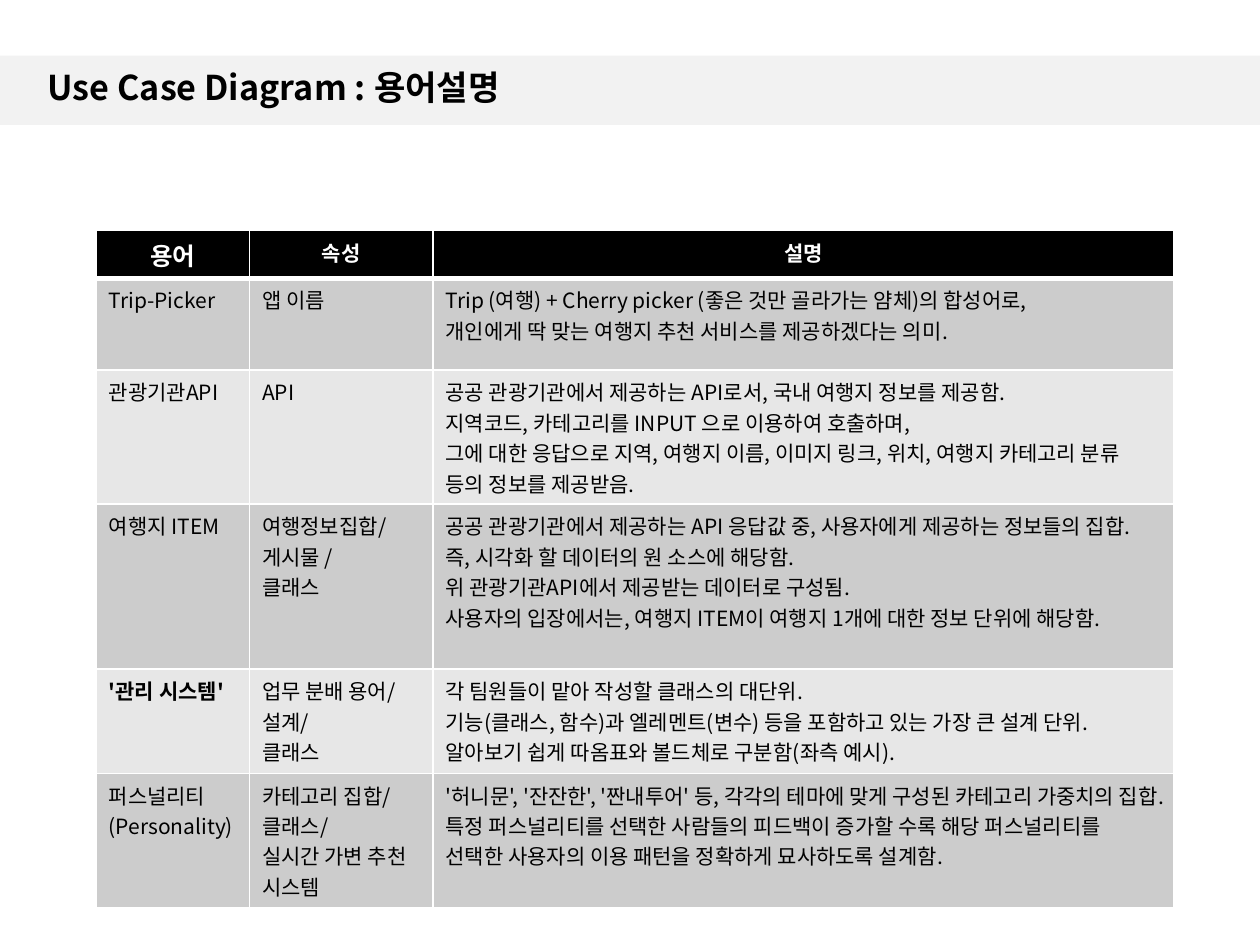
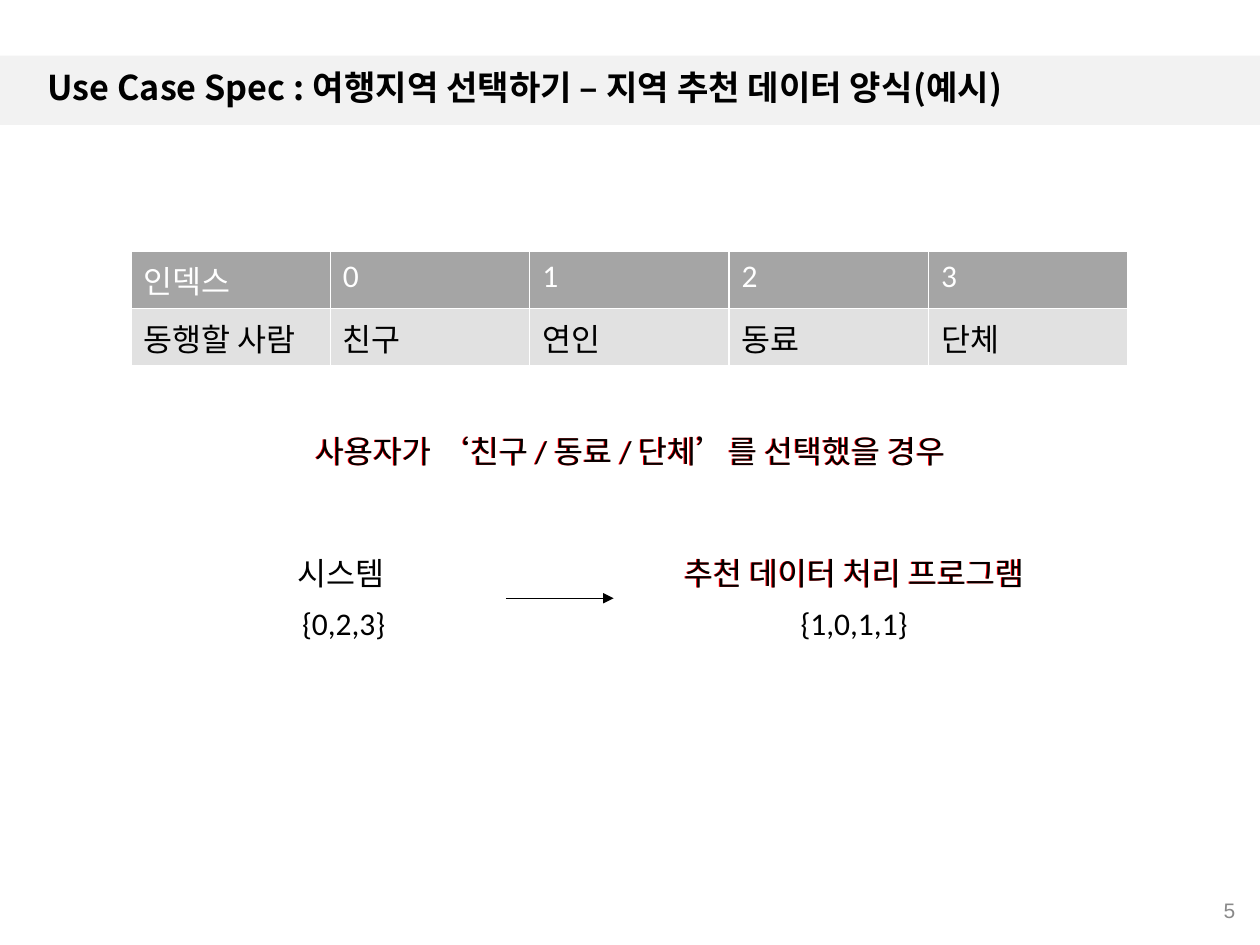
from lxml import etree
from pptx import Presentation
from pptx.dml.color import RGBColor
from pptx.enum.shapes import MSO_CONNECTOR, MSO_SHAPE
from pptx.enum.text import MSO_ANCHOR, PP_ALIGN
from pptx.oxml.ns import qn
from pptx.util import Cm, Pt

LEFT, CENTER, RIGHT = PP_ALIGN.LEFT, PP_ALIGN.CENTER, PP_ALIGN.RIGHT
TOP, MIDDLE = MSO_ANCHOR.TOP, MSO_ANCHOR.MIDDLE
RECT, STRAIGHT = MSO_SHAPE.RECTANGLE, MSO_CONNECTOR.STRAIGHT

COLORS = {
    "band": "F2F2F2", "black": "000000", "white": "FFFFFF", "red": "FF0000",
    "page": "898989", "dark_row": "CCCCCC", "light_row": "E7E7E7",
    "index_head": "A5A5A5", "index_row": "E1E1E1",
}
KOREAN, LATIN, NUMBER = "Noto Sans CJK KR", "Calibri", "Arial"

# Content: each table cell is a list of paragraphs
TERMS_TITLE = "Use Case Diagram : 용어설명"
TERMS_HEAD = ["용어", "속성", "설명"]
TERMS = [
    (["Trip-Picker"], ["앱 이름"],
     ["Trip (여행) + Cherry picker (좋은 것만 골라가는 얌체)의 합성어로,",
      "개인에게 딱 맞는 여행지 추천 서비스를 제공하겠다는 의미."]),
    (["관광기관API"], ["API"],
     ["공공 관광기관에서 제공하는 API로서, 국내 여행지 정보를 제공함.",
      "지역코드, 카테고리를 INPUT 으로 이용하여 호출하며,",
      "그에 대한 응답으로 지역, 여행지 이름, 이미지 링크, 위치, 여행지 카테고리 "
      "분류 등의 정보를 제공받음."]),
    (["여행지 ITEM"], ["여행정보집합/", "게시물 /", "클래스"],
     ["공공 관광기관에서 제공하는 API 응답값 중, 사용자에게 제공하는 정보들의 집합.",
      "즉, 시각화 할 데이터의 원 소스에 해당함.",
      "위 관광기관API에서 제공받는 데이터로 구성됨.",
      "사용자의 입장에서는, 여행지 ITEM이 여행지 1개에 대한 정보 단위에 해당함."]),
    (["'관리 시스템'"], ["업무 분배 용어/", "설계/", "클래스"],
     ["각 팀원들이 맡아 작성할 클래스의 대단위.",
      "기능(클래스, 함수)과 엘레멘트(변수) 등을 포함하고 있는 가장 큰 설계 단위.",
      "알아보기 쉽게 따옴표와 볼드체로 구분함(좌측 예시)."]),
    (["퍼스널리티", "(Personality)"],
     ["카테고리 집합/", "클래스/", "실시간 가변 추천 시스템"],
     ["'허니문', '잔잔한', '짠내투어' 등, 각각의 테마에 맞게 구성된 카테고리 가중치의 집합.",
      "특정 퍼스널리티를 선택한 사람들의 피드백이 증가할 수록 해당 퍼스널리티를 "
      "선택한 사용자의 이용 패턴을 정확하게 묘사하도록 설계함."]),
]
TERM_HEIGHTS = [0.96, 1.85, 2.7, 3.33, 2.1, 2.7]

SPEC_TITLE = "Use Case Spec : 여행지역 선택하기 – 지역 추천 데이터 양식(예시)"
INDEX_ROWS = [["인덱스", "0", "1", "2", "3"],
              ["동행할 사람", "친구", "연인", "동료", "단체"]]
# text, left, top, width in cm, red edge behind the letters
LABELS = [
    ("사용자가 ‘친구 / 동료 / 단체’를 선택했을 경우", 4.85, 8.58, 15.72, True),
    ("시스템", 4.01, 11.05, 5.74, False),
    ("추천 데이터 처리 프로그램", 11.93, 11.05, 10.6, True),
    ("{0,2,3}", 4.06, 12.06, 5.74, False),
    ("{1,0,1,1}", 14.35, 12.06, 5.74, False),
]
RED_SHIFT = 0.02
PAGE = "5"


def rgb(name):
    return RGBColor.from_string(COLORS[name])


def write(tf, lines, size, color="black", font=LATIN, bold=False, align=LEFT):
    tf.word_wrap = True
    for i, line in enumerate(lines):
        p = tf.paragraphs[0] if i == 0 else tf.add_paragraph()
        p.alignment = align
        r = p.add_run()
        r.text = line
        f = r.font
        f.size, f.bold, f.name = Pt(size), bold, font
        f.color.rgb = rgb(color)


def add_text(slide, text, left, top, width, height, size, anchor=TOP, **style):
    sp = slide.shapes.add_textbox(Cm(left), Cm(top), Cm(width), Cm(height))
    tf = sp.text_frame
    write(tf, [text], size, **style)
    tf.vertical_anchor = anchor
    return tf


def add_titled_slide(prs, title):
    slide = prs.slides.add_slide(prs.slide_layouts[6])
    band = slide.shapes.add_shape(RECT, 0, Cm(1.12), prs.slide_width, Cm(1.4))
    band.shadow.inherit = False
    band.fill.solid()
    band.fill.fore_color.rgb = rgb("band")
    band.line.fill.background()
    tf = add_text(slide, title, 0.71, 1.1, 24, 1.42, 19.5, MIDDLE,
                  font=KOREAN, bold=True)
    tf.paragraphs[0].line_spacing = 0.9
    return slide


def add_grid(slide, left, top, widths, heights):
    frame = slide.shapes.add_table(len(heights), len(widths), Cm(left), Cm(top),
                                   Cm(sum(widths)), Cm(sum(heights)))
    table = frame.table
    table.first_row = table.horz_banding = False
    for col, width in zip(table.columns, widths):
        col.width = Cm(width)
    for row, height in zip(table.rows, heights):
        row.height = Cm(height)
    return table


def style_cell(cell, fill, top=1, bottom=1):
    tcPr = cell._tc.get_or_add_tcPr()
    for side, width in (("L", 1), ("R", 1), ("T", top), ("B", bottom)):
        ln = etree.SubElement(tcPr, qn(f"a:ln{side}"), w=str(Pt(width)))
        solid = etree.SubElement(ln, qn("a:solidFill"))
        etree.SubElement(solid, qn("a:srgbClr"), val=COLORS["white"])
    cell.fill.solid()
    cell.fill.fore_color.rgb = rgb(fill)


def add_arrow(slide, x1, x2, y):
    line = slide.shapes.add_connector(STRAIGHT, Cm(x1), Cm(y), Cm(x2), Cm(y))
    line.line.color.rgb = rgb("black")
    line.line.width = Pt(0.5)
    etree.SubElement(line.line._get_or_add_ln(), qn("a:tailEnd"), type="triangle")
    etree.SubElement(line._element.spPr, qn("a:effectLst"))


def build_terms(prs):
    slide = add_titled_slide(prs, TERMS_TITLE)
    table = add_grid(slide, 1.94, 4.65, [3.09, 3.7, 14.94], TERM_HEIGHTS)
    # Header row, with a thick rule below
    for c, head in enumerate(TERMS_HEAD):
        cell = table.cell(0, c)
        style_cell(cell, "black", bottom=3)
        write(cell.text_frame, [head], 14 if c == 0 else 12, "white", KOREAN,
              bold=True, align=CENTER)
    # Alternating term rows; a quoted term is bold
    for r, row in enumerate(TERMS, 1):
        for c, lines in enumerate(row):
            cell = table.cell(r, c)
            style_cell(cell, "dark_row" if r % 2 else "light_row",
                       top=3 if r == 1 else 1)
            quoted = c == 0 and lines[0].startswith("'")
            write(cell.text_frame, lines, 12, font=KOREAN, bold=quoted)


def build_spec(prs):
    slide = add_titled_slide(prs, SPEC_TITLE)
    add_text(slide, PAGE, 19.43, 17.83, 5.72, 1.02, 12, MIDDLE,
             color="page", font=NUMBER, align=RIGHT)
    # Index table
    table = add_grid(slide, 2.64, 5.06, [4.02] * 5, [1.16] * 2)
    looks = [("index_head", "white"), ("index_row", "black")]
    for r, (row, (fill, color)) in enumerate(zip(INDEX_ROWS, looks)):
        for c, text in enumerate(row):
            cell = table.cell(r, c)
            style_cell(cell, fill)
            write(cell.text_frame, [text], 18, color)
    # Data flow
    for text, left, top, width, red_edge in LABELS:
        if red_edge:
            add_text(slide, text, left - RED_SHIFT, top, width, 1.03, 18,
                     color="red", align=CENTER)
        add_text(slide, text, left, top, width, 1.03, 18, align=CENTER)
    add_arrow(slide, 10.2, 12.37, 12.06)


def main():
    prs = Presentation()
    prs.slide_width, prs.slide_height = Cm(25.4), Cm(19.05)
    build_terms(prs)
    build_spec(prs)
    prs.save("out.pptx")


if __name__ == "__main__":
    main()
